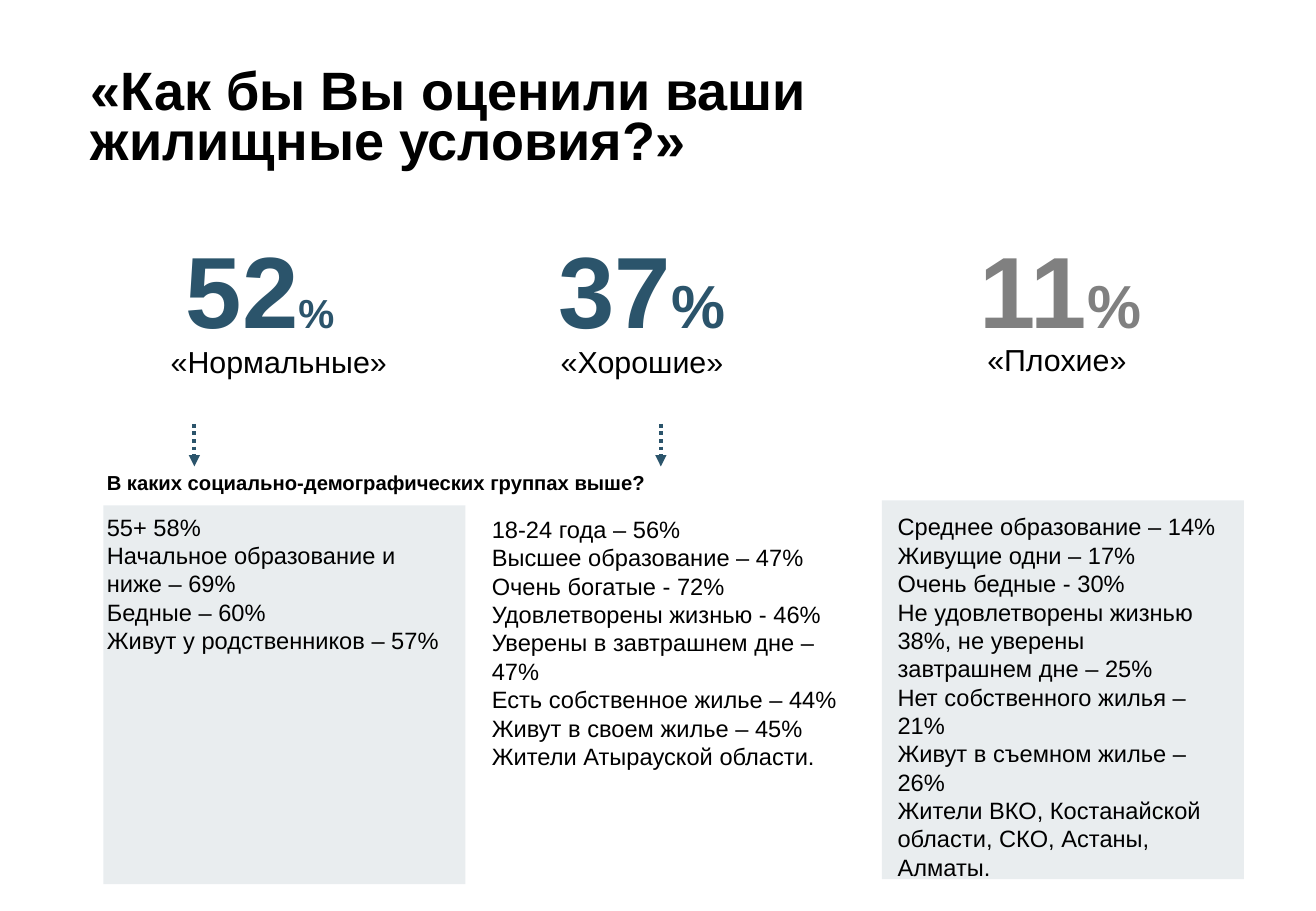
from dataclasses import dataclass
from typing import Optional

from lxml import etree
from pptx import Presentation
from pptx.dml.color import RGBColor
from pptx.enum import dml, shapes, text
from pptx.oxml.ns import qn
from pptx.util import Pt

COLORS = {"black": "000000", "teal": "2B546B", "gray": "808080"}
FONT = "Arial"
NUMBER_TOP, NUMBER_HEIGHT = 141.8, 67
ARROW_TOP, ARROW_BOTTOM = 251.3, 276.5


@dataclass
class Box:
    left: float
    top: float
    width: float
    height: float


@dataclass
class Answer:
    percent: str
    percent_size: float
    color: str
    number_left: float
    number_width: float
    label: str
    label_box: Box
    label_spacing: float
    groups: list[str]
    groups_box: Box
    panel: Optional[Box] = None
    arrow_x: Optional[float] = None


ANSWERS = [
    Answer("52", 24, "teal", 103, 172.1,
           "«Нормальные»", Box(46.8, 187.2, 236.9, 51.1), 25,
           ["55+ 58%",
            "Начальное образование и ниже – 69%",
            "Бедные – 60%",
            "Живут у родственников – 57%"],
           Box(56.2, 300.2, 214.6, 113.8),
           panel=Box(61.2, 299.5, 214.6, 224.6), arrow_x=115.2),
    Answer("37", 36, "teal", 324, 124.6,
           "«Хорошие»", Box(262.1, 179.3, 236.9, 67), 25,
           ["18-24 года – 56%",
            "Высшее образование – 47%",
            "Очень богатые - 72%",
            "Удовлетворены жизнью - 46%",
            "Уверены в завтрашнем дне – 47%",
            "Есть собственное жилье – 44%",
            "Живут в своем жилье – 45%",
            "Жители Атырауской области."],
           Box(284.4, 301.7, 224.6, 193.7), arrow_x=391.7),
    Answer("11", 36, "gray", 573.8, 124.6,
           "«Плохие»", Box(490.3, 205.9, 272.2, 19.4), 16,
           ["Среднее образование – 14%",
            "Живущие одни – 17%",
            "Очень бедные - 30%",
            "Не удовлетворены жизнью 38%, не уверены завтрашнем дне – 25%",
            "Нет собственного жилья – 21%",
            "Живут в съемном жилье – 26%",
            "Жители ВКО, Костанайской области, СКО, Астаны, Алматы."],
           Box(524.9, 300.2, 203, 278.6),
           panel=Box(522.7, 296.6, 214.6, 224.6)),
]


def rgb(name: str) -> RGBColor:
    return RGBColor.from_string(COLORS[name])


def place(box: Box) -> tuple[Pt, Pt, Pt, Pt]:
    return Pt(box.left), Pt(box.top), Pt(box.width), Pt(box.height)


def style_font(font, size: float, color: str = "black", bold: bool = False) -> None:
    font.name = FONT
    font.size = Pt(size)
    font.bold = bold
    font.color.rgb = rgb(color)


def add_text(slide, box: Box, lines: list[str], size: float, bold: bool = False,
             spacing: Optional[float] = None, centered: bool = False,
             grow: bool = False, wrap: bool = True) -> None:
    """Add a text box; one that grows is anchored at the top, others in the middle."""
    tf = slide.shapes.add_textbox(*place(box)).text_frame
    tf.word_wrap = wrap
    if grow:
        tf.auto_size = text.MSO_AUTO_SIZE.SHAPE_TO_FIT_TEXT
    else:
        tf.vertical_anchor = text.MSO_ANCHOR.MIDDLE
    tf.text = "\n".join(lines)
    for p in tf.paragraphs:
        style_font(p.font, size, bold=bold)
        if spacing:
            p.line_spacing = Pt(spacing)
        if centered:
            p.alignment = text.PP_ALIGN.CENTER


def add_panel(slide, box: Box) -> None:
    sp = slide.shapes.add_shape(shapes.MSO_SHAPE.RECTANGLE, *place(box))
    sp.shadow.inherit = False
    sp.line.fill.background()
    sp.fill.solid()
    sp.fill.fore_color.rgb = rgb("teal")
    color = sp.fill._xPr.find(qn("a:solidFill")).find(qn("a:srgbClr"))
    etree.SubElement(color, qn("a:alpha"), val="10000")


def add_number(slide, answer: Answer) -> None:
    box = Box(answer.number_left, NUMBER_TOP, answer.number_width, NUMBER_HEIGHT)
    tf = slide.shapes.add_textbox(*place(box)).text_frame
    tf.word_wrap = True
    tf.vertical_anchor = text.MSO_ANCHOR.MIDDLE
    p = tf.paragraphs[0]
    p.line_spacing = 0.9
    for part, size in ((answer.percent, 60), ("%", answer.percent_size)):
        r = p.add_run()
        r.text = part
        style_font(r.font, size, answer.color, bold=True)


def add_arrow(slide, x: float) -> None:
    line = slide.shapes.add_connector(shapes.MSO_CONNECTOR.STRAIGHT,
                                      Pt(x), Pt(ARROW_TOP), Pt(x), Pt(ARROW_BOTTOM))
    line.line.color.rgb = rgb("teal")
    line.line.width = Pt(2.25)
    line.line.dash_style = dml.MSO_LINE.ROUND_DOT
    etree.SubElement(line.line._get_or_add_ln(), qn("a:tailEnd"), type="triangle")
    etree.SubElement(line._element.spPr, qn("a:effectLst"))


def main() -> None:
    prs = Presentation()
    prs.slide_width, prs.slide_height = Pt(780), Pt(540)
    slide = prs.slides.add_slide(prs.slide_layouts[6])

    for answer in ANSWERS:
        if answer.panel:
            add_panel(slide, answer.panel)
    add_text(slide, Box(46.8, 42.5, 468.7, 58.3),
             ["«Как бы Вы оценили ваши жилищные условия?»"], 32, bold=True, spacing=30)
    add_text(slide, Box(56.2, 275, 337, 21.6),
             ["В каких социально-демографических группах выше?"], 12, bold=True,
             grow=True, wrap=False)
    for answer in ANSWERS:
        add_number(slide, answer)
        add_text(slide, answer.label_box, [answer.label], 18,
                 spacing=answer.label_spacing, centered=True)
        add_text(slide, answer.groups_box, answer.groups, 14, grow=True)
        if answer.arrow_x is not None:
            add_arrow(slide, answer.arrow_x)

    prs.save("out.pptx")


if __name__ == "__main__":
    main()
